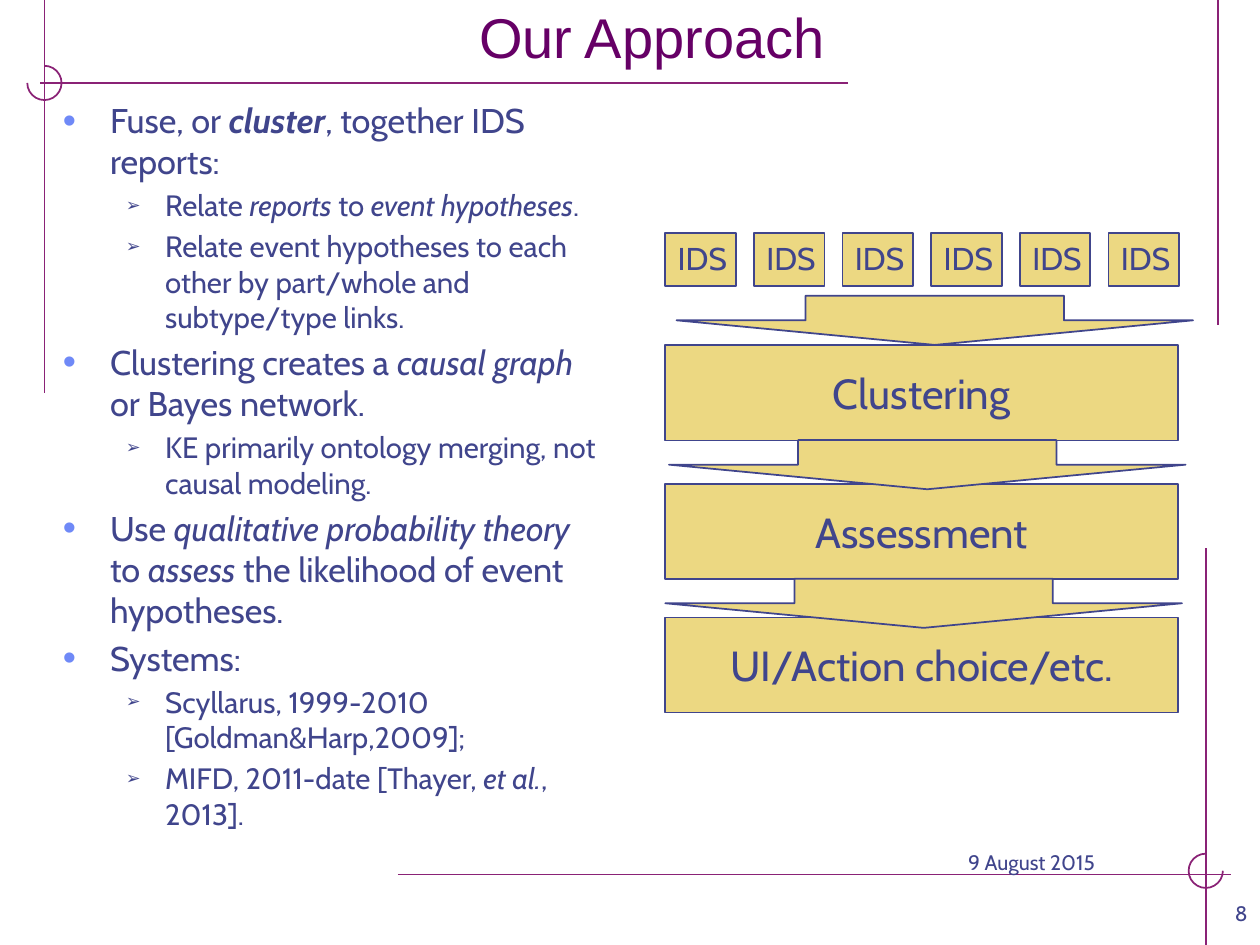
from dataclasses import dataclass

from lxml.etree import SubElement
from pptx import Presentation
from pptx.dml.color import RGBColor
from pptx.enum.shapes import MSO_CONNECTOR as Conn, MSO_SHAPE as Kind
from pptx.enum.text import MSO_ANCHOR as Anchor, PP_ALIGN as Align
from pptx.oxml.ns import qn
from pptx.slide import Slide
from pptx.util import Pt

PLUM = RGBColor(0x8A, 0x22, 0x76)
PURPLE = RGBColor(0x66, 0x00, 0x66)
NAVY = RGBColor(0x40, 0x45, 0x8C)
SAND = RGBColor(0xEC, 0xD8, 0x82)
BLUE = RGBColor(0x6F, 0x89, 0xF7)

# Per level: text size, space before, indent, hang, bullet, its colour and size
LEVELS = [
    (19.6, 3.9, 27, 27, "•", BLUE, 110),
    (16.8, 3.3, 58.5, 22.5, "➢", NAVY, 60),
]

# Level and text; _italic_, and _*bold italic_
POINTS = [
    (0, "Fuse, or _*cluster_, together IDS reports:"),
    (1, "Relate _reports _to _event hypotheses_."),
    (1, "Relate event hypotheses to each other by part/whole and "
        "subtype/type links."),
    (0, "Clustering creates a _causal graph_ or Bayes network."),
    (1, "KE primarily ontology merging, not causal modeling."),
    (0, "Use _qualitative probability theory _to _assess_ the likelihood "
        "of event hypotheses."),
    (0, "Systems:"),
    (1, "Scyllarus, 1999-2010 [Goldman&Harp,2009];"),
    (1, "MIFD, 2011-date [Thayer, _et al._, 2013]."),
]


def put(item, **vals):
    for name, val in vals.items():
        setattr(item, name, val)


@dataclass
class Deck:
    slide: Slide
    face: str = "Cabin"
    ink: RGBColor = NAVY
    fill: RGBColor = SAND
    rule: RGBColor = PLUM
    width: float = 1

    def edge(self, line, color):
        line.color.rgb = color
        line.width = Pt(self.width)

    def line(self, x1, y1, x2, y2):
        link = self.slide.shapes.add_connector(
            Conn.STRAIGHT, Pt(x1), Pt(y1), Pt(x2), Pt(y2))
        self.edge(link.line, self.rule)
        SubElement(link.element.spPr, qn("a:effectLst"))

    def shape(self, kind, x, y, w, h):
        item = self.slide.shapes.add_shape(kind, Pt(x), Pt(y), Pt(w), Pt(h))
        item.shadow.inherit = False
        item.fill.solid()
        item.fill.fore_color.rgb = self.fill
        self.edge(item.line, self.ink)
        return item

    def arc(self, x, y, start, end, size=19.6):
        """Draw an arc round a centre; angles are clockwise degrees."""
        item = self.shape(Kind.ARC, x - size / 2, y - size / 2, size, size)
        item.fill.background()
        self.edge(item.line, self.rule)
        for i, angle in enumerate((start, end)):
            item.adjustments[i] = angle * 0.6

    def run(self, para, text, size, face=None, color=None, **fmt):
        run = para.add_run()
        run.text = text
        put(run.font, name=face or self.face, size=Pt(size), **fmt)
        run.font.color.rgb = color or self.ink

    def box(self, text, size, x, y, w, h, align=Align.CENTER,
            anchor=Anchor.MIDDLE):
        frame = self.shape(Kind.RECTANGLE, x, y, w, h).text_frame
        put(frame, word_wrap=False, vertical_anchor=anchor)
        para = frame.paragraphs[0]
        para.alignment = align
        self.run(para, text, size)

    def frame(self, x, y, w, h, anchor=Anchor.BOTTOM):
        frame = self.slide.shapes.add_textbox(
            Pt(x), Pt(y), Pt(w), Pt(h)).text_frame
        put(frame, word_wrap=True, vertical_anchor=anchor)
        return frame

    def label(self, text, size, x, y, w, h, align, **fmt):
        para = self.frame(x, y, w, h).paragraphs[0]
        para.alignment = align
        self.run(para, text, size, **fmt)

    def bullets(self, items, x, y, w, h):
        frame = self.frame(x, y, w, h, Anchor.TOP)
        for i, (level, text) in enumerate(items):
            para = frame.add_paragraph() if i else frame.paragraphs[0]
            size, gap, left, hang, mark, color, scale = LEVELS[level]
            put(para, level=level, space_before=Pt(gap))
            props = para._p.get_or_add_pPr()
            props.set("marL", str(Pt(left)))
            props.set("indent", str(-Pt(hang)))
            tint = SubElement(props, qn("a:buClr"))
            SubElement(tint, qn("a:srgbClr"), val=str(color))
            SubElement(props, qn("a:buSzPct"), val=str(scale * 1000))
            SubElement(props, qn("a:buFont"), typeface="Arial")
            SubElement(props, qn("a:buChar"), char=mark)
            for j, part in enumerate(text.split("_")):
                self.run(para, part.lstrip("*"), size, italic=j % 2 == 1,
                         bold=part.startswith("*"))


def main():
    prs = Presentation()
    put(prs, slide_width=Pt(720), slide_height=Pt(540))
    deck = Deck(prs.slides.add_slide(prs.slide_layouts[6]))

    # Corner rules and arcs
    for ends in [(25.4, 0, 25.4, 224.6), (484.6, 47.4, 22.6, 47.4),
                 (227.4, 499.7, 703.4, 499.7), (689, 313.2, 689, 540),
                 (696.1, 0, 696.1, 185.8)]:
        deck.line(*ends)
    deck.arc(25.4, 47.4, 270, 180)
    deck.arc(689, 497.6, 0, 270)

    # Title, bullets and footer
    deck.label("Our Approach", 32, 50.4, 0, 644.4, 43.2, Align.CENTER,
               face="Arial", color=PURPLE)
    deck.bullets(POINTS, 28.8, 53.3, 322.6, 442)
    deck.label("9 August 2015", 12, 486.7, 481, 146.2, 22.3, Align.RIGHT)
    deck.label("8", 12, 644.4, 510.5, 75.6, 22.3, Align.RIGHT)

    # Row of sensors
    left = 380.2
    for i in range(6):
        deck.box("IDS", 18, left + i * 50.65, 133.2, 40.3, 30.2,
                 Align.LEFT, Anchor.TOP)

    # Stages, then the arrows that lead into them
    for text, top in [("Clustering", 197.3), ("Assessment", 276.5),
                      ("UI/Action choice/etc.", 352.8)]:
        deck.box(text, 24, left, top, 293, 54.4)
    for x, y in [(386.6, 169), (382.3, 251.5), (left, 330.7)]:
        deck.shape(Kind.DOWN_ARROW, x, y, 295.2, 28.1)

    prs.save("out.pptx")


if __name__ == "__main__":
    main()
